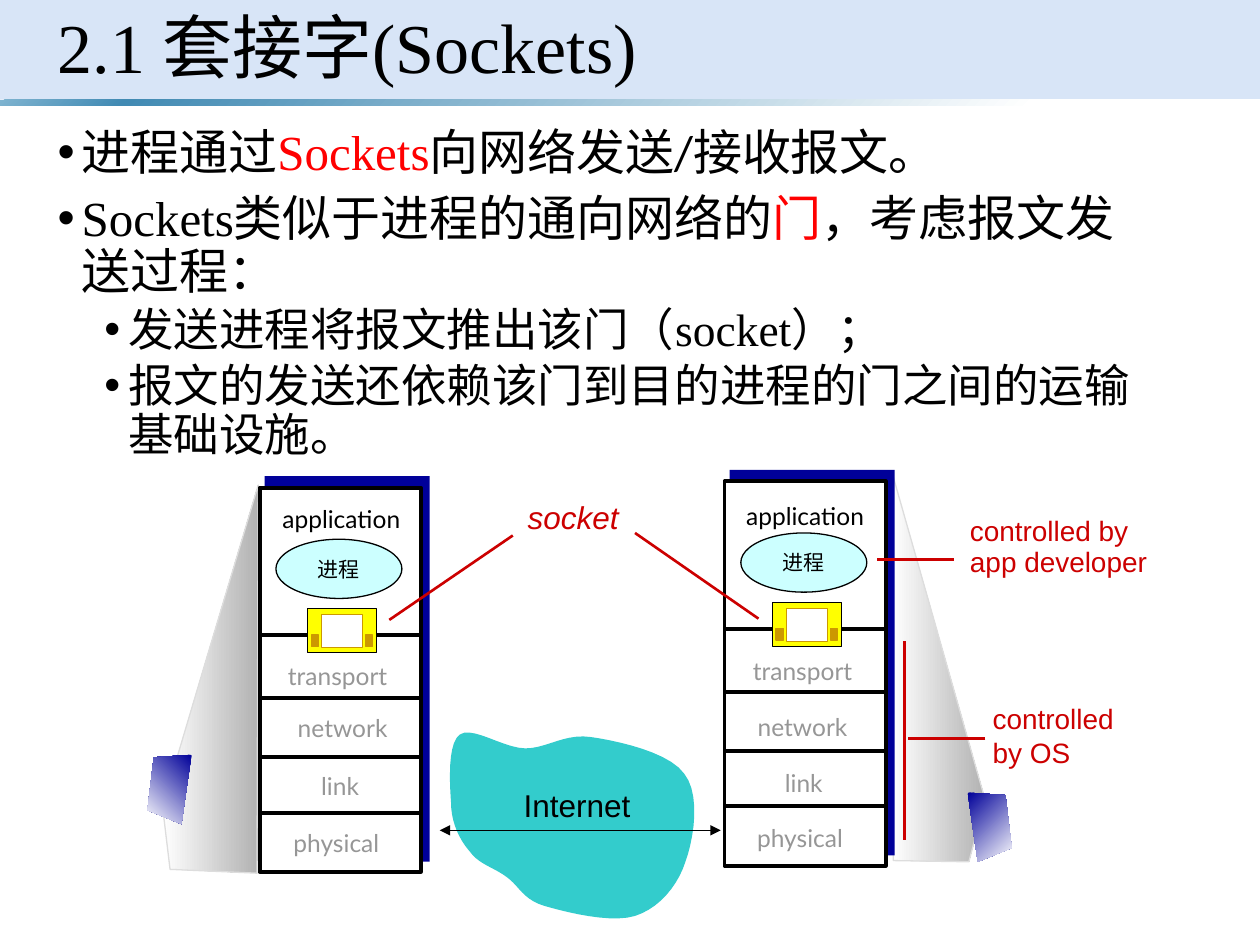
"""Build the slide on sockets as doors between processes and the network."""
from lxml import etree
from pptx import Presentation
from pptx.dml.color import RGBColor
from pptx.enum.shapes import MSO_CONNECTOR, MSO_SHAPE
from pptx.enum.text import MSO_ANCHOR, PP_ALIGN
from pptx.oxml.ns import qn
from pptx.util import Inches, Pt

RECTANGLE, OVAL = MSO_SHAPE.RECTANGLE, MSO_SHAPE.OVAL
STRAIGHT = MSO_CONNECTOR.STRAIGHT
LEFT, CENTER, MIDDLE, TOP = PP_ALIGN.LEFT, PP_ALIGN.CENTER, MSO_ANCHOR.MIDDLE, MSO_ANCHOR.TOP

THEME = {
    "black": "000000", "white": "FFFFFF", "red": "FF0000", "note": "CC0000",
    "layer": "969696", "navy": "000099", "process": "CCFFFF", "cloud": "33CCCC",
    "door": "FFFF00", "frame": "CC9900", "edge": "DDDDDD", "band": "C8DAF4",
    "serif": "Times New Roman", "body": "Calibri", "label": "Lato", "sans": "Arial",
    "title_size": 40, "body_size": 28, "sub_size": 26, "big_note": 18,
    "note_size": 16, "label_size": 14, "process_size": 12,
}
STRIPE = [(0, "7EB3D0"), (10, "418AB3"), (82, "FFFFFF"), (96, "FFFFFF")]
SHADE = [(0, "FFFFFF"), (100, "B2B2B2")]
SIDE = [(0, THEME["navy"]), (100, "FFFFFF")]

TITLE = "2.1 套接字(Sockets)"
BULLETS = [
    (0, [("进程通过", "body", "black"), ("Sockets", "serif", "red"),
         ("向网络发送/接收报文。", "body", "black")]),
    (0, [("Sockets", "serif", "black"), ("类似于进程的通向网络的", "body", "black"),
         ("门", "body", "red"), ("，考虑报文发送过程：", "body", "black")]),
    (1, [("发送进程将报文推出该门（socket）；", "serif", "black")]),
    (1, [("报文的发送还依赖该门到目的进程的门之间的运输基础设施。", "serif", "black")]),
]
LEVELS = [{"size": "body_size", "margin": 0.19, "before": 7.5},
          {"size": "sub_size", "margin": 0.56, "before": 3.8}]

LAYERS = ["application", "transport", "network", "link", "physical"]
TOWERS = [
    {"origin": (2.06, 3.87),
     "labels": [(2.71, 3.93), (2.68, 5.17), (2.72, 5.59), (2.7, 6.05), (2.67, 6.5)]},
    {"origin": (5.75, 3.82),
     "labels": [(6.39, 3.9), (6.37, 5.13), (6.37, 5.58), (6.38, 6.02), (6.35, 6.46)]},
]
TOWER_BACK = (0.04, -0.09, 1.31, 3.06)
TOWER_FRONT = (0, 0, 1.28, 3.05)
DIVIDERS = [1.17, 1.67, 2.14, 2.58]
PROCESS = (0.13, 0.41, 1, 0.47)
SOCKET_PARTS = [
    ((0.38, 0.96, 0.55, 0.35), "door", "black"),
    ((0.49, 1.01, 0.33, 0.26), "white", "frame"),
    ((0.84, 1.17, 0.06, 0.09), "frame", "frame"),
    ((0.41, 1.17, 0.06, 0.09), "frame", "frame"),
]
SHADOWS = [[(7.82, 6.35), (7.08, 3.75), (7.09, 6.83), (7.69, 6.84)],
           [(1.29, 6.4), (2.05, 3.85), (2.04, 6.93), (1.35, 6.9)]]
SIDES = [([(1.52, 5.99), (1.22, 6.01), (1.17, 6.43), (1.44, 6.54)], 135),
         ([(7.68, 6.29), (7.98, 6.31), (8.03, 6.73), (7.76, 6.84)], 45)]
CLOUD_START = (3.58, 6.37)
CLOUD_CURVES = [
    ((3.57, 6.22), (3.55, 5.9), (3.65, 5.83)), ((3.75, 5.76), (4, 5.94), (4.17, 5.94)),
    ((4.34, 5.94), (4.48, 5.82), (4.69, 5.85)), ((4.9, 5.88), (5.31, 5.97), (5.43, 6.14)),
    ((5.56, 6.3), (5.51, 6.65), (5.44, 6.84)), ((5.38, 7.03), (5.23, 7.21), (5.04, 7.27)),
    ((4.85, 7.33), (4.49, 7.24), (4.32, 7.19)), ((4.15, 7.14), (4.12, 7.03), (4.02, 6.96)),
    ((3.93, 6.89), (3.8, 6.86), (3.73, 6.76)), ((3.65, 6.67), (3.58, 6.53), (3.58, 6.37)),
]
NOTES = [
    ((3.99, 6.19, 1.18, 0.41), ["Internet"], CENTER, 1, "big_note", "black", False),
    ((7.78, 5.52, 1.35, 0.66), ["controlled", "by OS"], LEFT, 1, "note_size", "note", False),
    ((7.6, 4.06, 1.66, 0.6), ["controlled by", "app developer"], LEFT, 0.9, "note_size", "note", False),
    ((4.09, 3.94, 1, 0.38), ["socket"], LEFT, 0.9, "big_note", "note", True),
]
POINTERS = [(7.57, 4.44, 6.96, 4.44), (7.18, 5.09, 7.18, 6.67), (7.82, 5.86, 7.21, 5.86),
            (3.09, 4.92, 4.07, 4.25), (6.02, 4.91, 5.04, 4.23)]
INTERNET_LINK = (3.49, 6.59, 5.72, 6.59)


def color(name):
    return RGBColor.from_string(THEME[name])


def apply(target, values):
    for name, value in values.items():
        setattr(target, name, value)


def font(size, face, shade, italic=False):
    return {"size": Pt(THEME[size]), "name": THEME[face], "italic": italic, "shade": shade}


def add_run(paragraph, text, values):
    run = paragraph.add_run()
    run.text = text
    apply(run.font, {key: value for key, value in values.items() if key != "shade"})
    run.font.color.rgb = color(values["shade"])


def paint(shape, fill=None, line=None, width=0.75):
    shape.shadow.inherit = False
    if fill:
        shape.fill.solid()
        shape.fill.fore_color.rgb = color(fill)
    if line:
        shape.line.color.rgb = color(line)
        shape.line.width = Pt(width)
    else:
        shape.line.fill.background()


def paint_gradient(shape, stops, angle):
    shape.fill.gradient()
    gradient = shape._element.spPr.find(qn("a:gradFill"))
    stop_list = gradient.find(qn("a:gsLst"))
    for stop in list(stop_list):
        stop_list.remove(stop)
    for position, value in stops:
        stop = etree.SubElement(stop_list, qn("a:gs"), pos=str(position * 1000))
        etree.SubElement(stop, qn("a:srgbClr"), val=value)
    gradient.find(qn("a:lin")).set("ang", str(angle * 60000))


def add_box(slide, box, fill, line=None, width=0.75, kind=RECTANGLE):
    shape = slide.shapes.add_shape(kind, *map(Inches, box))
    paint(shape, fill, line, width)
    return shape


def add_outline(slide, points):
    corners = [(Inches(x), Inches(y)) for x, y in points]
    builder = slide.shapes.build_freeform(*corners[0], scale=1.0)
    builder.add_line_segments(corners[1:], close=True)
    return builder.convert_to_shape()


def add_line(slide, ends, shade, width):
    connector = slide.shapes.add_connector(STRAIGHT, *map(Inches, ends))
    connector.line.color.rgb = color(shade)
    connector.line.width = Pt(width)
    etree.SubElement(connector._element.spPr, qn("a:effectLst"))
    return connector


def add_text(slide, box, lines, alignment, spacing, values):
    frame = slide.shapes.add_textbox(*map(Inches, box)).text_frame
    frame.word_wrap = True
    for index, text in enumerate(lines):
        paragraph = frame.add_paragraph() if index else frame.paragraphs[0]
        apply(paragraph, {"alignment": alignment, "line_spacing": spacing})
        add_run(paragraph, text, values)


def add_title(slide):
    title = slide.shapes.title
    apply(title, dict(zip(("left", "top", "width", "height"), map(Inches, (0.36, 0, 9.28, 0.81)))))
    apply(title.text_frame, {"vertical_anchor": MIDDLE, "word_wrap": True})
    paragraph = title.text_frame.paragraphs[0]
    apply(paragraph, {"alignment": LEFT, "line_spacing": 0.9})
    add_run(paragraph, TITLE, font("title_size", "serif", "black"))
    band = add_box(slide, (0, 0, 10, 0.79), "band")
    band_color = band._element.spPr.find(qn("a:solidFill")).find(qn("a:srgbClr"))
    etree.SubElement(band_color, qn("a:alpha"), val="70000")
    stripe = add_box(slide, (0, 0.79, 10, 0.05), None)
    paint_gradient(stripe, STRIPE, 45)
    for shape in (band, stripe):
        title._element.addprevious(shape._element)


def add_bullets(slide):
    frame = slide.shapes.add_textbox(*map(Inches, (0.36, 0.97, 8.95, 2.89))).text_frame
    apply(frame, {"word_wrap": True, "vertical_anchor": TOP})
    for index, (level, runs) in enumerate(BULLETS):
        style = LEVELS[level]
        paragraph = frame.add_paragraph() if index else frame.paragraphs[0]
        properties = paragraph._p.get_or_add_pPr()
        properties.set("marL", str(Inches(style["margin"])))
        properties.set("indent", str(Inches(-0.19)))
        etree.SubElement(properties, qn("a:buFont"), typeface=THEME["sans"])
        etree.SubElement(properties, qn("a:buChar"), char="•")
        apply(paragraph, {"level": level, "line_spacing": 0.9,
                          "space_before": Pt(style["before"] if index else 0)})
        for text, face, shade in runs:
            add_run(paragraph, text, font(style["size"], face, shade))


def add_tower(slide, origin, labels):
    left, top = origin

    def place(box):
        return (left + box[0], top + box[1], *box[2:])

    add_box(slide, place(TOWER_BACK), "navy")
    add_box(slide, place(TOWER_FRONT), "white", "black", 2.25)
    for offset in DIVIDERS:
        add_line(slide, (left, top + offset, left + 1.28, top + offset), "black", 2.25)
    for layer, (middle, label_top) in zip(LAYERS, labels):
        shade = "black" if layer == "application" else "layer"
        add_text(slide, (middle - 0.65, label_top, 1.3, 0.35), [layer], CENTER, 1.1,
                 font("label_size", "label", shade))
    process = add_box(slide, place(PROCESS), "process", "black", kind=OVAL)
    apply(process.text_frame, {"word_wrap": False, "vertical_anchor": MIDDLE})
    paragraph = process.text_frame.paragraphs[0]
    paragraph.alignment = CENTER
    add_run(paragraph, "进程", font("process_size", "sans", "black"))
    for box, fill, line in SOCKET_PARTS:
        add_box(slide, place(box), fill, line)


def curve_points(start, curves, steps=10):
    points = [start]
    for first, second, end in curves:
        begin = points[-1]
        for step in range(1, steps + 1):
            t = step / steps
            weights = ((1 - t) ** 3, 3 * t * (1 - t) ** 2, 3 * t * t * (1 - t), t ** 3)
            points.append(tuple(sum(weight * point[axis] for weight, point in
                                    zip(weights, (begin, first, second, end))) for axis in (0, 1)))
    return points


def add_diagram(slide):
    for points in SHADOWS:
        shadow = add_outline(slide, points)
        paint(shadow, line="edge")
        paint_gradient(shadow, SHADE, 0)
    paint(add_outline(slide, curve_points(CLOUD_START, CLOUD_CURVES)), "cloud")
    link = add_line(slide, INTERNET_LINK, "black", 0.75)
    for end in ("a:headEnd", "a:tailEnd"):
        etree.SubElement(link.line._get_or_add_ln(), qn(end), type="triangle")
    for tower in TOWERS:
        add_tower(slide, **tower)
    for ends in POINTERS:
        add_line(slide, ends, "note", 1.5)
    for box, lines, alignment, spacing, size, shade, italic in NOTES:
        add_text(slide, box, lines, alignment, spacing, font(size, "sans", shade, italic))
    for points, angle in SIDES:
        side = add_outline(slide, points)
        paint(side)
        paint_gradient(side, SIDE, angle)


def main():
    presentation = Presentation()
    apply(presentation, {"slide_width": Inches(10), "slide_height": Inches(7.5)})
    slide = presentation.slides.add_slide(presentation.slide_layouts[5])
    add_title(slide)
    add_bullets(slide)
    add_diagram(slide)
    presentation.save("out.pptx")


if __name__ == "__main__":
    main()
